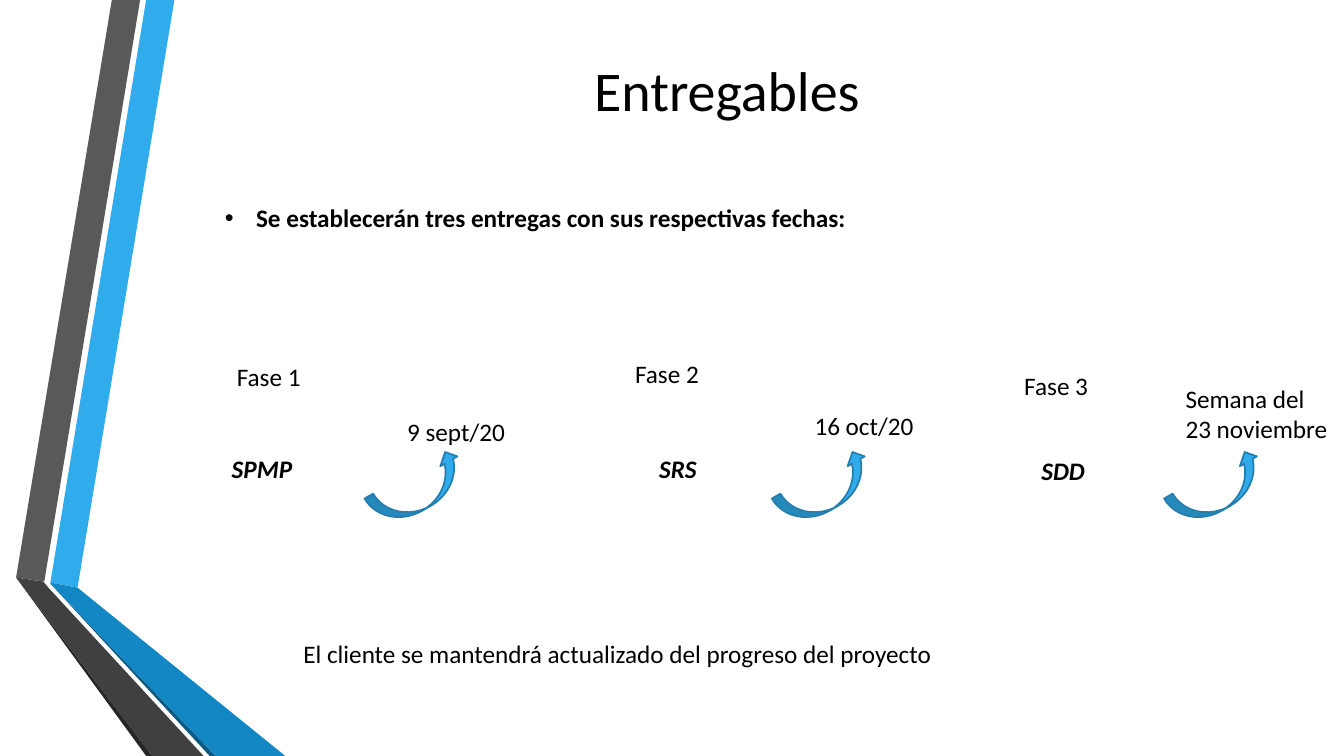
from dataclasses import dataclass

from lxml import etree
from pptx import Presentation
from pptx import util as u
from pptx.dml.color import RGBColor
from pptx.enum import shapes, text
from pptx.oxml.ns import qn

TITLE = "Entregables"
INTRO = "Se establecerán tres entregas con sus respectivas fechas:"
CLOSING = "El cliente se mantendrá actualizado del progreso del proyecto"

# Each label: text, left, top, width, height in inches
PHASES = [
    {"phase": ("Fase 1", 2.25, 3.54, 1.25, 0.4),
     "document": ("SPMP", 2.2, 4.45, 1.08, 0.4),
     "date": ("9 sept/20", 3.94, 4.08, 1.36, 0.71), "arrow_left": 3.96},
    {"phase": ("Fase 2", 6.2, 3.51, 1.25, 0.4),
     "document": ("SRS", 6.44, 4.45, 0.77, 0.4),
     "date": ("16 oct/20", 7.98, 4.02, 1.68, 0.4), "arrow_left": 8},
    {"phase": ("Fase 3", 10.06, 3.62, 1.25, 0.4),
     "document": ("SDD", 10.23, 4.47, 0.78, 0.4),
     "date": ("Semana del 23 noviembre", 11.66, 3.75, 1.68, 1.01), "arrow_left": 11.89},
]


@dataclass(frozen=True)
class Theme:
    font: str = "Calibri"
    title_size: int = 40
    body_size: int = 18
    ink: str = "000000"
    blue: str = "30ACEC"
    blue_line: str = "247FAF"
    blue_fold: str = "1287C3"
    blue_edge: str = "0C5A82"
    gray: str = "595959"
    gray_fold: str = "404040"
    gray_edge: str = "262626"


T = Theme()
WIDTH, HEIGHT = 13.33, 7.5
ARROW_TOP, ARROW_WIDTH, ARROW_HEIGHT, ARROW_TURN = 4.35, 0.39, 1.02, 240

RIBBONS = [
    (T.blue, [(0.5, 5.78), (0.77, 5.83), (1.73, 0), (1.45, 0)]),
    (T.gray, [(1.39, 0), (1.11, 0), (0.16, 5.73), (0.44, 5.77)]),
    (T.gray_edge, [(0.16, 5.73), (1.45, HEIGHT), (1.51, HEIGHT)]),
    (T.blue_edge, [(0.5, 5.79), (2.08, HEIGHT), (2.14, HEIGHT)]),
    (T.blue_fold, [(0.5, 5.78), (0.5, 5.79), (2.14, HEIGHT), (2.83, HEIGHT), (0.77, 5.83)]),
    (T.gray_fold, [(2.02, HEIGHT), (0.48, 5.83), (0.43, 5.77), (0.16, 5.73), (1.51, HEIGHT)]),
]


def place(sp, *box):
    sp.left, sp.top, sp.width, sp.height = map(u.Inches, box)


def write(sp, words, size=T.body_size, bold=False, italic=False):
    tf = sp.text_frame
    tf.word_wrap = True
    tf.text = words
    p = tf.paragraphs[0]
    p.space_before = u.Pt(0)
    font = p.runs[0].font
    font.name, font.size, font.bold, font.italic = T.font, u.Pt(size), bold, italic
    font.color.rgb = RGBColor.from_string(T.ink)
    return p


def add_label(s, words, *box, **style):
    write(s.shapes.add_textbox(*map(u.Inches, box)), words, **style)


def add_ribbon(s, color, points):
    start, *rest = [(u.Inches(x), u.Inches(y)) for x, y in points]
    builder = s.shapes.build_freeform(*start)
    builder.add_line_segments(rest, close=True)
    sp = builder.convert_to_shape()
    sp.shadow.inherit = False
    sp.fill.solid()
    sp.fill.fore_color.rgb = RGBColor.from_string(color)
    sp.line.fill.background()


def add_arrow(s, left):
    box = map(u.Inches, (left, ARROW_TOP, ARROW_WIDTH, ARROW_HEIGHT))
    sp = s.shapes.add_shape(shapes.MSO_SHAPE.CURVED_RIGHT_ARROW, *box)
    sp.rotation = ARROW_TURN
    sp.shadow.inherit = False
    sp.fill.solid()
    sp.fill.fore_color.rgb = RGBColor.from_string(T.blue)
    sp.line.color.rgb = RGBColor.from_string(T.blue_line)
    sp.line.width = u.Pt(1.25)


def add_bullet(p, indent):
    pPr = p._p.get_or_add_pPr()
    pPr.set("marL", str(u.Inches(indent)))
    pPr.set("indent", str(-u.Inches(indent)))
    etree.SubElement(pPr, qn("a:buFont")).set("typeface", "Arial")
    etree.SubElement(pPr, qn("a:buChar")).set("char", "•")


def main():
    prs = Presentation()
    prs.slide_width, prs.slide_height = u.Inches(WIDTH), u.Inches(HEIGHT)
    s = prs.slides.add_slide(prs.slide_layouts[1])
    for color, points in RIBBONS:
        add_ribbon(s, color, points)

    title, body = s.placeholders
    place(title, 1.73, 0.29, 10.96, 1.19)
    title.text_frame.vertical_anchor = text.MSO_ANCHOR.MIDDLE
    write(title, TITLE, T.title_size).alignment = text.PP_ALIGN.CENTER
    place(body, 2.13, 1.96, 7.23, 0.4)
    add_bullet(write(body, INTRO, bold=True), 0.31)

    for phase in PHASES:
        add_arrow(s, phase["arrow_left"])
        add_label(s, *phase["phase"])
        add_label(s, *phase["document"], bold=True, italic=True)
        add_label(s, *phase["date"])
    add_label(s, CLOSING, 2.91, 6.28, 7.39, 0.71)
    prs.save("out.pptx")


if __name__ == "__main__":
    main()
